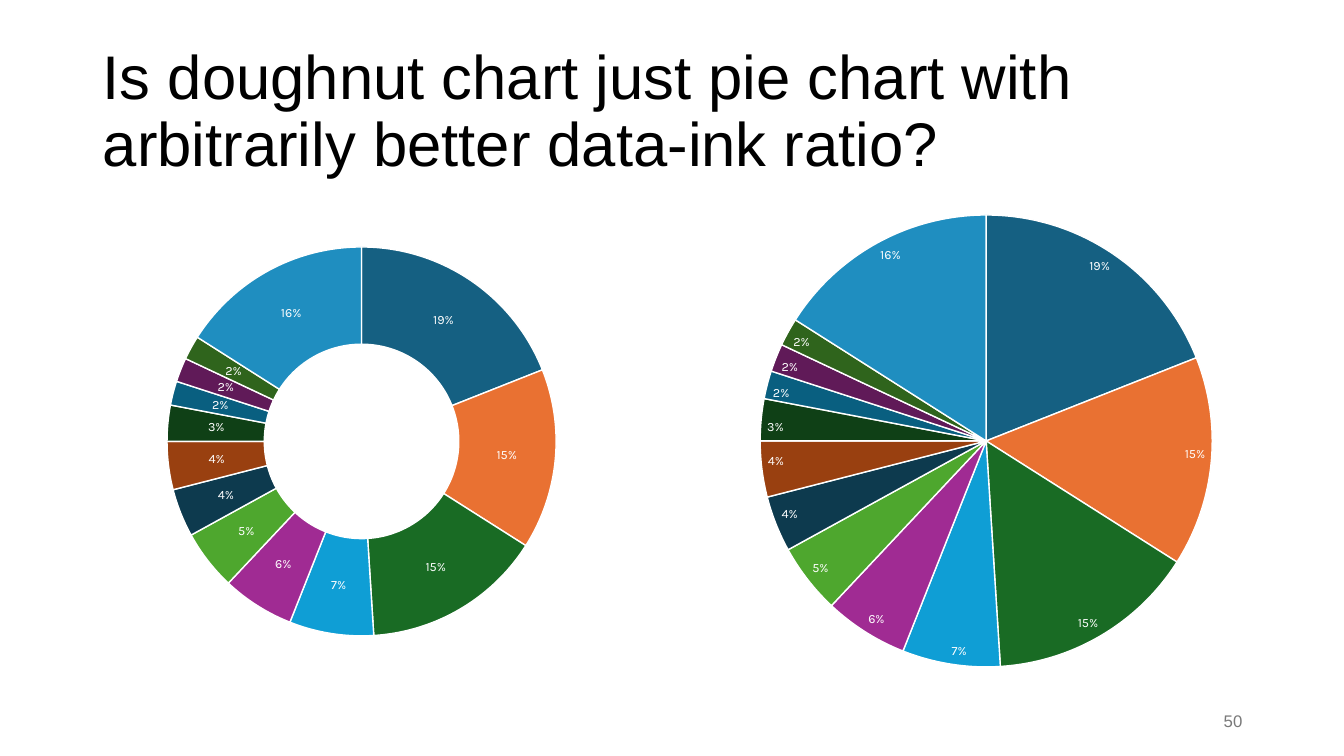
from lxml import etree
from pptx import Presentation
from pptx import util as u
from pptx.chart.data import CategoryChartData
from pptx.dml.color import RGBColor
from pptx.enum import chart as ch, text
from pptx.oxml import ns

EMU_PER_PX = 914400 / 100.8
SHARES = [0.19, 0.15, 0.15, 0.07, 0.06, 0.05, 0.04, 0.04, 0.03, 0.02, 0.02, 0.02, 0.16]
SLICE_COLORS = ["156082", "E97132", "196B24", "0F9ED5", "A02B93", "4EA72E", "0D3A4E",
                "994010", "0F4016", "095F80", "601A58", "2F641C", "1F8EC0"]


def px(n):
    return u.Emu(round(n * EMU_PER_PX))


def rgb(value):
    return RGBColor.from_string(value)


def write(tf, content, size, color, font="Arial", align=text.PP_ALIGN.LEFT, spacing=1.0):
    p = tf.paragraphs[0]
    p.alignment = align
    p.line_spacing = spacing
    r = p.add_run()
    r.text = content
    r.font.size = u.Pt(size)
    r.font.name = font
    r.font.color.rgb = rgb(color)


class Deck:
    chart_font = "Karla"
    white = "FFFFFF"

    def __init__(self, width, height):
        self.prs = Presentation()
        self.prs.slide_width = u.Inches(width)
        self.prs.slide_height = u.Inches(height)
        self.s = self.prs.slides.add_slide(self.prs.slide_layouts[6])

    def text(self, box, content, **style):
        tf = self.s.shapes.add_textbox(*map(px, box)).text_frame
        tf.word_wrap = True
        tf.vertical_anchor = text.MSO_ANCHOR.MIDDLE
        write(tf, content, **style)

    def round_chart(self, kind, box, plot_box, label_position=None):
        data = CategoryChartData(number_format="0%")
        data.categories = [str(i + 1) for i in range(len(SHARES))]
        data.add_series("Series 1", SHARES)
        chart = self.s.shapes.add_chart(kind, *map(px, box), data).chart
        chart.has_title = False
        chart.has_legend = False
        self.style_font(chart.font, 10)
        chart.plots[0].vary_by_categories = True
        series = chart.plots[0].series[0]
        for i, color in enumerate(SLICE_COLORS):
            fmt = series.points[i].format
            fmt.fill.solid()
            fmt.fill.fore_color.rgb = rgb(color)
            fmt.line.color.rgb = rgb(self.white)
            fmt.line.width = u.Pt(1)
        labels = series.data_labels
        labels.show_value = True
        labels.show_percentage = False
        labels.number_format = "0%"
        labels.number_format_is_linked = False
        self.style_font(labels.font, 9)
        if label_position is not None:
            labels.position = label_position
        self.place_plot(chart, box, plot_box)

    def style_font(self, font, size):
        font.name = self.chart_font
        font.size = u.Pt(size)
        font.color.rgb = rgb(self.white)

    def place_plot(self, chart, box, plot_box):
        left, top, width, height = box
        x, y, w, h = plot_box
        area = chart.element.find(".//" + ns.qn("c:plotArea"))
        for old in area.findall(ns.qn("c:layout")):
            area.remove(old)
        layout = etree.Element(ns.qn("c:layout"))
        manual = etree.SubElement(layout, ns.qn("c:manualLayout"))
        for tag, value in [("layoutTarget", "inner"), ("xMode", "edge"), ("yMode", "edge"),
                           ("x", (x - left) / width), ("y", (y - top) / height),
                           ("w", w / width), ("h", h / height)]:
            etree.SubElement(manual, ns.qn("c:" + tag)).set("val", str(value))
        area.insert(0, layout)


def main():
    deck = Deck(13.33, 7.5)
    deck.text((93, 40, 1159, 146),
              "Is doughnut chart just pie chart with arbitrarily better data-ink ratio?",
              size=44, color="000000", spacing=0.9)
    deck.round_chart(ch.XL_CHART_TYPE.DOUGHNUT, (93, 202, 1159, 480), (167, 247, 389, 389))
    deck.text((950, 701, 302, 40), "50", size=12, color="797979", align=text.PP_ALIGN.RIGHT)
    deck.round_chart(ch.XL_CHART_TYPE.PIE, (698, 202, 554, 480), (760, 215, 452, 452),
                     ch.XL_LABEL_POSITION.INSIDE_END)
    deck.prs.save("out.pptx")


if __name__ == "__main__":
    main()
